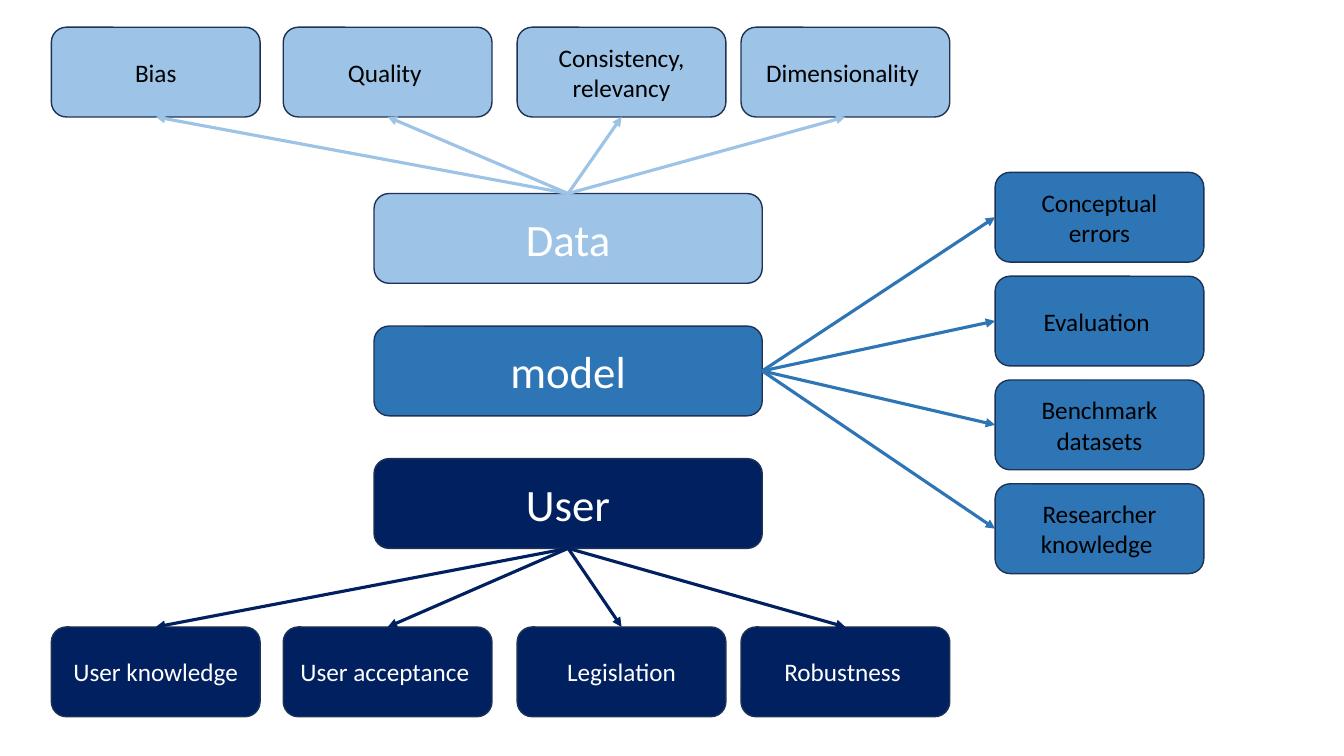
"""Build a slide linking data, model and user to the factors that affect each."""
from lxml.etree import SubElement
from pptx import Presentation
from pptx.dml.color import RGBColor
from pptx.enum.shapes import MSO_CONNECTOR, MSO_SHAPE
from pptx.enum.text import MSO_ANCHOR, PP_ALIGN
from pptx.oxml.ns import qn
from pptx.util import Inches, Pt

COLUMNS = (0.51, 2.81, 5.13, 7.35)
SIDE_LEFT, SIDE_TOP, SIDE_STEP = 9.87, 1.71, 1.03
CORE_LEFT, CORE_TOP, CORE_STEP = 3.71, 1.92, 1.315
CORE_WIDTH, FACTOR_WIDTH, BOX_HEIGHT = 3.85, 2.07, 0.89
TOP, LEFT, BOTTOM, RIGHT = range(4)

THEME = {
    "font": "Calibri", "core_size": 32, "factor_size": 18,
    "outline": "1E3256", "outline_width": 1, "arrow_width": 2.25,
    "light": "9DC3E6", "middle": "2E75B6", "dark": "002060",
    "white": "FFFFFF", "black": "000000",
}

GROUPS = [
    {"core": "Data", "fill": "light", "ink": "black", "exit": TOP, "entry": BOTTOM,
     "factors": ["Bias", "Quality ", "Consistency, relevancy", "Dimensionality "],
     "places": [(left, 0.27) for left in COLUMNS]},
    {"core": "model", "fill": "middle", "ink": "black", "exit": RIGHT, "entry": LEFT,
     "factors": ["Conceptual errors", "Evaluation ", "Benchmark datasets",
                 "Researcher knowledge "],
     "places": [(SIDE_LEFT, SIDE_TOP + SIDE_STEP * row) for row in range(4)]},
    {"core": "User", "fill": "dark", "ink": "white", "exit": BOTTOM, "entry": TOP,
     "factors": ["User knowledge", "User acceptance ", "Legislation", "Robustness "],
     "places": [(left, 6.22) for left in COLUMNS]},
]


def color(name):
    return RGBColor.from_string(THEME[name])


def add_box(page, text, *, left, top, width, fill, ink, size):
    box = page.shapes.add_shape(MSO_SHAPE.ROUNDED_RECTANGLE, Inches(left), Inches(top),
                                Inches(width), Inches(BOX_HEIGHT))
    box.shadow.inherit = False
    box.fill.solid()
    box.fill.fore_color.rgb = color(fill)
    box.line.color.rgb = color("outline")
    box.line.width = Pt(THEME["outline_width"])
    frame = box.text_frame
    frame.word_wrap = True
    frame.vertical_anchor = MSO_ANCHOR.MIDDLE
    para = frame.paragraphs[0]
    para.alignment = PP_ALIGN.CENTER
    span = para.add_run()
    span.text = text
    span.font.name = THEME["font"]
    span.font.size = Pt(THEME[size])
    span.font.color.rgb = color(ink)
    return box


def add_arrow(page, core, factor, group):
    arrow = page.shapes.add_connector(MSO_CONNECTOR.STRAIGHT, 0, 0, 0, 0)
    arrow.begin_connect(core, group["exit"])
    arrow.end_connect(factor, group["entry"])
    arrow.line.color.rgb = color(group["fill"])
    arrow.line.width = Pt(THEME["arrow_width"])
    SubElement(arrow.line._get_or_add_ln(), qn("a:tailEnd"), type="triangle")
    SubElement(arrow._element.spPr, qn("a:effectLst"))


def main():
    deck = Presentation()
    deck.slide_width, deck.slide_height = Inches(13.33), Inches(7.5)
    page = deck.slides.add_slide(deck.slide_layouts[6])
    for row, group in enumerate(GROUPS):
        core = add_box(page, group["core"], left=CORE_LEFT, top=CORE_TOP + CORE_STEP * row,
                       width=CORE_WIDTH, fill=group["fill"], ink="white", size="core_size")
        for text, (left, top) in zip(group["factors"], group["places"]):
            factor = add_box(page, text, left=left, top=top, width=FACTOR_WIDTH,
                             fill=group["fill"], ink=group["ink"], size="factor_size")
            add_arrow(page, core, factor, group)
    deck.save("out.pptx")


if __name__ == "__main__":
    main()
